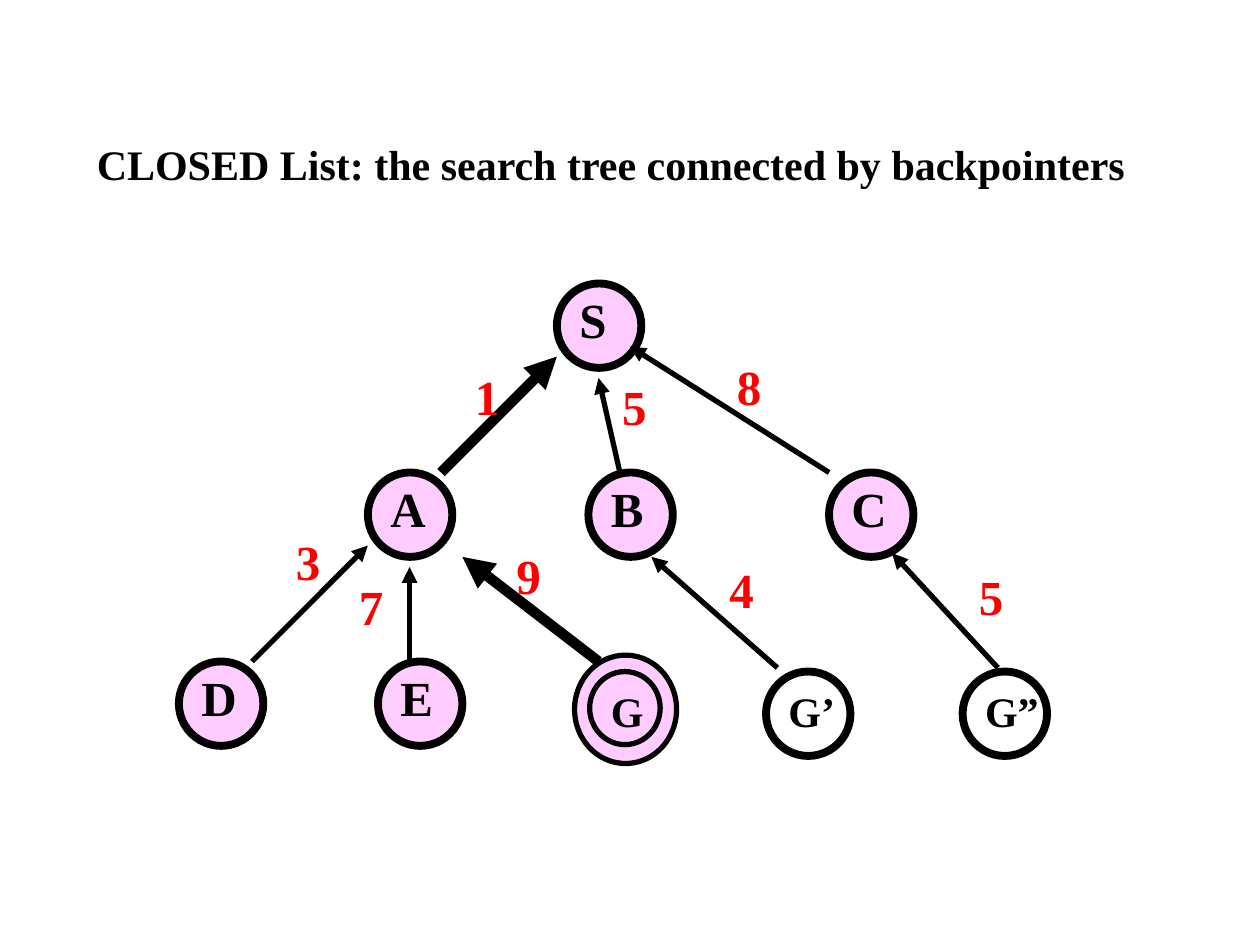
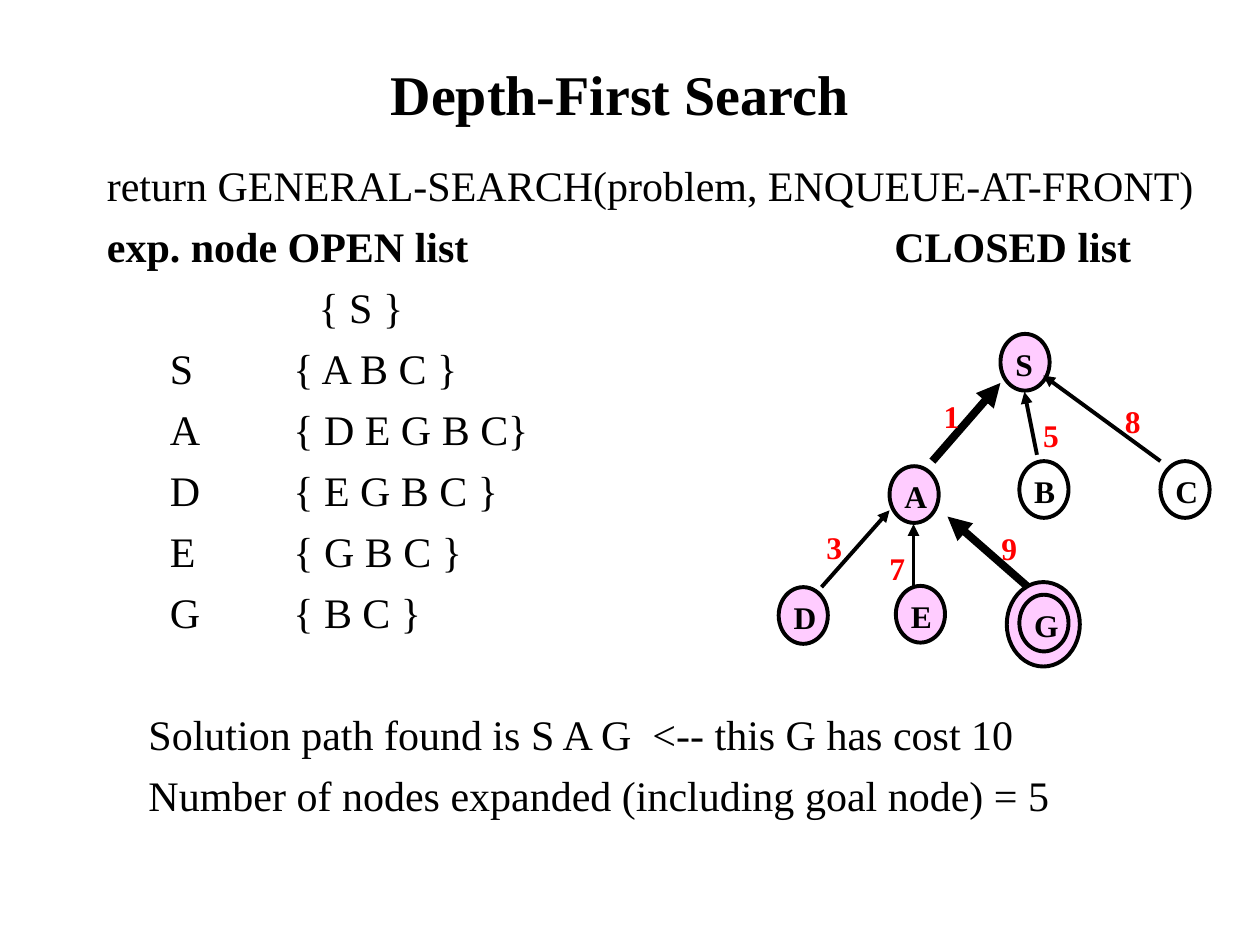
from lxml.etree import SubElement
from pptx import Presentation
from pptx.dml.color import RGBColor
from pptx.enum.shapes import MSO_CONNECTOR, MSO_SHAPE
from pptx.enum.text import MSO_ANCHOR, PP_ALIGN
from pptx.oxml.ns import qn
from pptx.util import Inches, Pt

FONT = "Times New Roman"
BLACK, RED, PINK = "000000", "FF0000", "FFCCFF"
TITLE_LEFT, TITLE_WIDTH = 0.67, 8.5
LINE_HEIGHT = 1.2


def color(hex_string):
    return RGBColor.from_string(hex_string)


def style(paragraph, size, bold=False, hex_string=BLACK):
    font = paragraph.font
    font.name, font.size, font.bold = FONT, Pt(size), bold
    font.color.rgb = color(hex_string)


def add_text_frame(slide, left, top, width, height):
    box = slide.shapes.add_textbox(*map(Inches, (left, top, width, height)))
    box.text_frame.word_wrap = True
    return box.text_frame


def add_title(slide, text, top, height, size, alignment):
    frame = add_text_frame(slide, TITLE_LEFT, top, TITLE_WIDTH, height)
    frame.vertical_anchor = MSO_ANCHOR.MIDDLE
    paragraph = frame.paragraphs[0]
    paragraph.text, paragraph.alignment = text, alignment
    style(paragraph, size, bold=True)


def add_label(slide, text, left, top, size, hex_string=BLACK):
    """Bold label in a box just wide enough for its characters."""
    ems = 0.5 if text.isdigit() else 0.78 + 0.5 * (len(text) - 1)
    width, height = 0.2 + ems * size / 72, 0.1 + LINE_HEIGHT * size / 72
    paragraph = add_text_frame(slide, left, top, width, height).paragraphs[0]
    paragraph.text = text
    style(paragraph, size, bold=True, hex_string=hex_string)


def add_ellipse(slide, left, top, width, height, line_width, fill=None):
    ellipse = slide.shapes.add_shape(
        MSO_SHAPE.OVAL, *map(Inches, (left, top, width, height)))
    ellipse.shadow.inherit = False
    if fill:
        ellipse.fill.solid()
        ellipse.fill.fore_color.rgb = color(fill)
    else:
        ellipse.fill.background()
    ellipse.line.color.rgb = color(BLACK)
    ellipse.line.width = Pt(line_width)


def add_backpointer(slide, parent_end, child_end, line_width):
    """Line whose arrowhead points at the parent node."""
    connector = slide.shapes.add_connector(
        MSO_CONNECTOR.STRAIGHT, *map(Inches, parent_end + child_end))
    connector.line.color.rgb = color(BLACK)
    connector.line.width = Pt(line_width)
    properties = connector._element.spPr
    SubElement(properties.find(qn("a:ln")), qn("a:headEnd"), type="triangle")
    SubElement(properties, qn("a:effectLst"))


def add_nodes(slide, nodes, node_size, line_width, label_offset, label_size):
    for name, left, top, fill in nodes:
        add_ellipse(slide, left, top, *node_size, line_width, fill)
        add_label(slide, name, left + label_offset[0], top + label_offset[1], label_size)


def add_edges(slide, edges, thin, thick, label_size):
    """Backpointers with their costs; those on the solution path are thick."""
    for cost, parent_end, child_end, cost_place, on_path in edges:
        add_backpointer(slide, parent_end, child_end, thick if on_path else thin)
        add_label(slide, cost, *cost_place, label_size, RED)


def add_row(frame, text, stops=(), bold=False, space_before=6):
    """Paragraph with left tab stops, in inches from the text edge."""
    paragraph = frame.paragraphs[0]
    if paragraph.text:
        paragraph = frame.add_paragraph()
        paragraph.space_before = Pt(space_before)
    paragraph.text = text
    if stops:
        tab_list = SubElement(paragraph._p.get_or_add_pPr(), qn("a:tabLst"))
        for stop in stops:
            SubElement(tab_list, qn("a:tab"), pos=str(Inches(stop)), algn="l")
    style(paragraph, 24, bold)


def build_closed_list(slide):
    add_title(slide, "CLOSED List: the search tree connected by backpointers",
              0.67, 1.25, 24, PP_ALIGN.LEFT)
    size = (0.67, 0.67)
    add_ellipse(slide, 4.56, 5.2, 0.81, 0.86, 3, PINK)
    add_nodes(slide, [("S", 4.42, 2.25, PINK),
                      ("A", 2.92, 3.75, PINK),
                      ("B", 4.67, 3.75, PINK),
                      ("C", 6.58, 3.75, PINK),
                      ("D", 1.42, 5.25, PINK),
                      ("E", 3, 5.25, PINK)], size, 4.5, (0.08, 0), 28)
    add_nodes(slide, [("G’", 6.08, 5.33, None),
                      ("G”", 7.64, 5.33, None)], size, 4.5, (0.08, 0.06), 24)
    add_nodes(slide, [("G", 4.68, 5.33, None)], (0.56, 0.58), 3, (0.07, 0.06), 24)
    add_edges(slide, [
        ("1", (4.42, 2.83), (3.5, 3.75), (3.67, 2.86), True),
        ("5", (4.75, 3), (4.92, 3.75), (4.84, 2.94), False),
        ("8", (5, 2.75), (6.58, 3.75), (5.75, 2.78), False),
        ("3", (2.92, 4.33), (2, 5.25), (2.25, 4.17), False),
        ("7", (3.25, 4.5), (3.25, 5.25), (2.75, 4.53), False),
        ("9", (3.67, 4.42), (4.75, 5.25), (4, 4.28), True),
        ("4", (5.17, 4.42), (6.17, 5.3), (5.69, 4.39), False),
        ("5", (7.08, 4.39), (7.92, 5.3), (7.67, 4.45), False),
    ], 3, 6, 28)


def build_depth_first_search(slide):
    add_title(slide, "Depth-First Search", 0.38, 0.72, 32, PP_ALIGN.CENTER)

    frame = add_text_frame(slide, 0.75, 1.22, 8.91, 5.83)
    add_row(frame, "return GENERAL-SEARCH(problem, ENQUEUE-AT-FRONT)")
    add_row(frame, "exp. node OPEN list\tCLOSED list", [6.25], bold=True)
    add_row(frame, "\t{ S }", [1.68])
    for node, open_list in [("S", "{ A B C }"), ("A", "{ D E G B C}"),
                            ("D", "{ E G B C }"), ("E", "{ G B C }"),
                            ("G", "{ B C }")]:
        add_row(frame, f"\t{node}\t{open_list}", [0.5, 1.48])
    conclusion_stops = [0.33, 4.33]
    add_row(frame, "\tSolution path found is S A G\t<-- this G has cost 10",
            conclusion_stops, space_before=40.8)
    add_row(frame, "\tNumber of nodes expanded (including goal node) = 5",
            conclusion_stops)

    add_ellipse(slide, 7.99, 4.62, 0.58, 0.67, 2.25, PINK)
    add_nodes(slide, [("S", 7.94, 2.65, PINK),
                      ("A", 7.06, 3.7, PINK),
                      ("B", 8.09, 3.66, None),
                      ("C", 9.21, 3.66, None),
                      ("D", 6.18, 4.66, PINK),
                      ("E", 7.11, 4.65, PINK),
                      ("G", 8.09, 4.72, None)], (0.39, 0.45), 2.25, (0.02, 0.04), 18)
    add_edges(slide, [
        ("1", (7.94, 3.04), (7.4, 3.66), (7.39, 3.1), True),
        ("5", (8.13, 3.11), (8.23, 3.61), (8.18, 3.25), False),
        ("8", (8.28, 2.98), (9.21, 3.66), (8.83, 3.14), False),
        ("3", (7.06, 4.05), (6.52, 4.66), (6.46, 4.14), False),
        ("7", (7.25, 4.16), (7.25, 4.66), (6.96, 4.31), False),
        ("9", (7.52, 4.1), (8.16, 4.66), (7.85, 4.15), True),
    ], 2.25, 4.5, 18)


def main():
    presentation = Presentation()
    presentation.slide_width, presentation.slide_height = Inches(10), Inches(7.5)
    blank_layout = presentation.slide_layouts[6]
    for build in (build_closed_list, build_depth_first_search):
        build(presentation.slides.add_slide(blank_layout))
    presentation.save("out.pptx")


if __name__ == "__main__":
    main()
